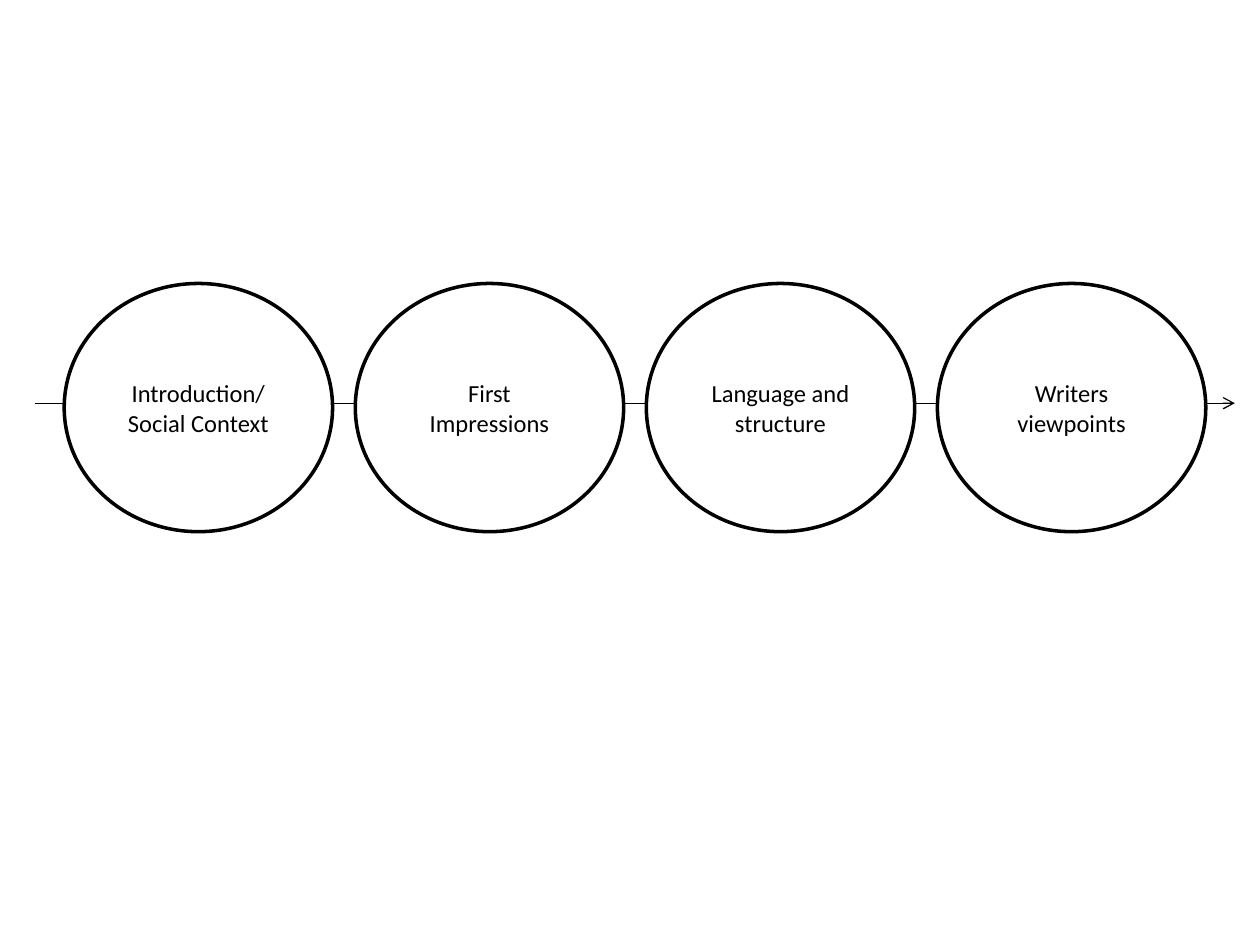
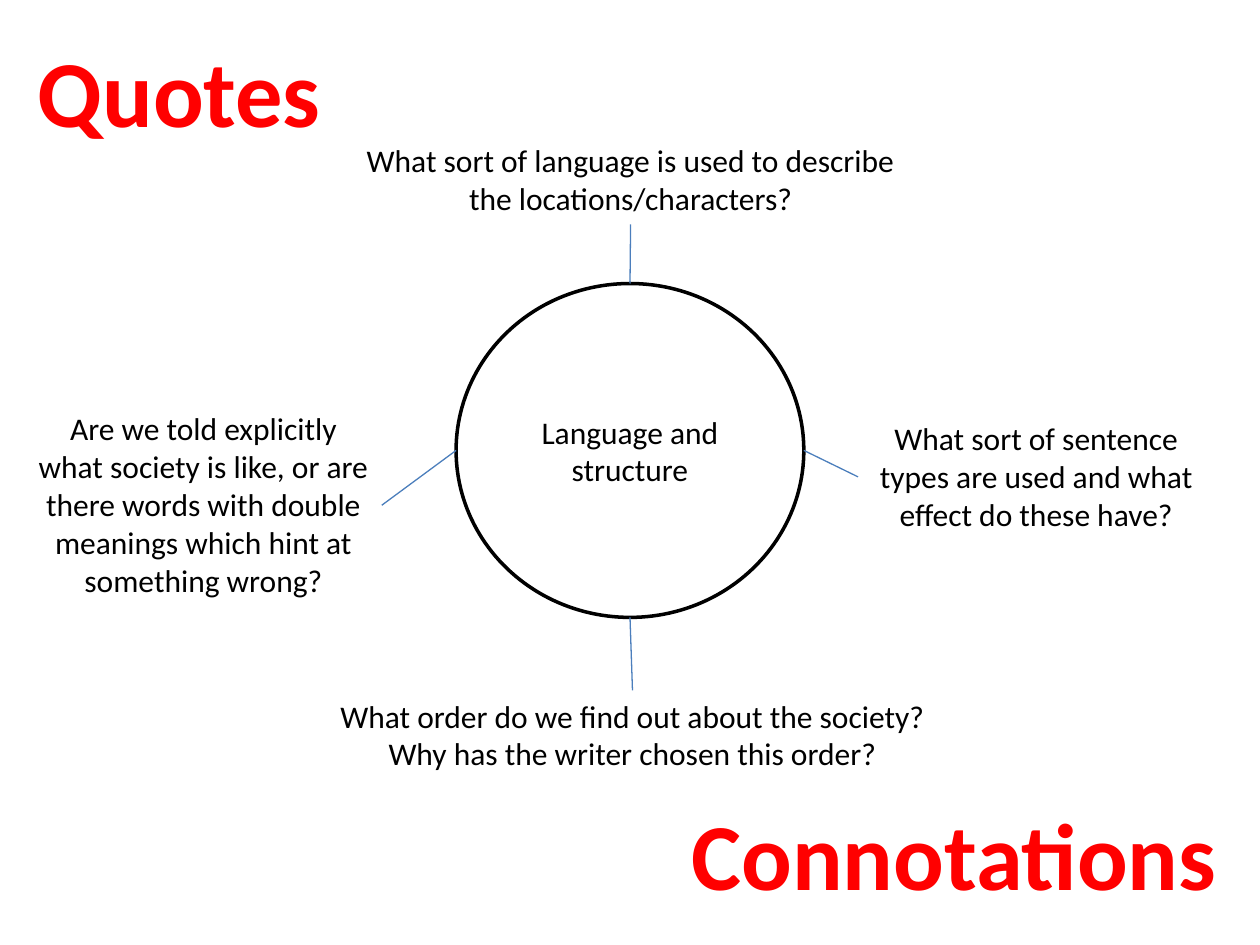
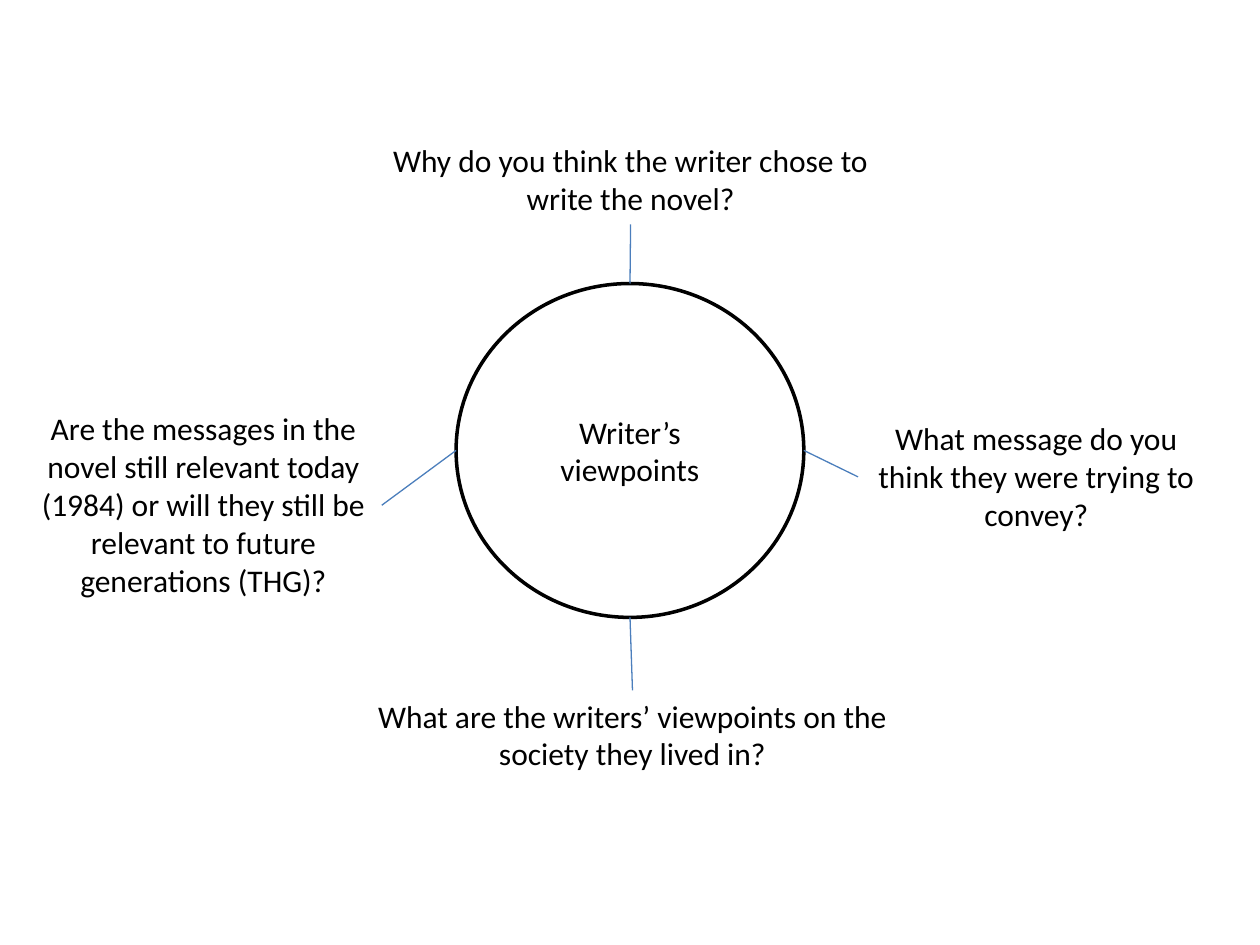
from dataclasses import dataclass

from lxml import etree
from pptx import Presentation
from pptx.dml.color import RGBColor
from pptx.enum.shapes import MSO_CONNECTOR, MSO_SHAPE
from pptx.enum.text import MSO_ANCHOR, MSO_AUTO_SIZE, PP_ALIGN
from pptx.oxml.ns import qn
from pptx.presentation import Presentation as Deck
from pptx.shapes.autoshape import Shape
from pptx.shapes.connector import Connector
from pptx.slide import Slide
from pptx.util import Inches, Pt

OVAL = MSO_SHAPE.OVAL
STRAIGHT = MSO_CONNECTOR.STRAIGHT
MIDDLE = MSO_ANCHOR.MIDDLE
GROW = MSO_AUTO_SIZE.SHAPE_TO_FIT_TEXT
CENTER = PP_ALIGN.CENTER
LEFT = PP_ALIGN.LEFT
TOP_SIDE, LEFT_SIDE, BOTTOM_SIDE, RIGHT_SIDE = range(4)

FONT = "Calibri"
COLORS = {
    "ink": "000000",
    "paper": "FFFFFF",
    "spoke": "4B7EBC",
    "heading": "FF0000",
}


@dataclass(frozen=True)
class Area:
    left: float
    top: float
    width: float
    height: float

    def side_middle(self, side: int) -> tuple[float, float]:
        center = self.left + self.width / 2
        middle = self.top + self.height / 2
        return {
            TOP_SIDE: (center, self.top),
            LEFT_SIDE: (self.left, middle),
            BOTTOM_SIDE: (center, self.top + self.height),
            RIGHT_SIDE: (self.left + self.width, middle),
        }[side]


@dataclass(frozen=True)
class Question:
    area: Area
    hub_side: int
    text: str


@dataclass(frozen=True)
class Heading:
    area: Area
    text: str


HUB = Area(3.62, 2.25, 2.76, 2.65)
ABOVE = Area(2.76, 1.07, 4.49, 0.71)
BESIDE_LEFT = Area(0.2, 3.2, 2.83, 1.62)
BELOW = Area(2.6, 5.48, 4.84, 0.71)
BELOW_TALL = Area(2.6, 5.48, 4.84, 1.01)
BESIDE_RIGHT = Area(6.81, 3.28, 2.83, 1.01)

STAGES = (
    "Introduction/ Social Context",
    "First Impressions",
    "Language and structure",
    "Writers viewpoints",
)
FIRST_STAGE = Area(0.51, 2.25, 2.13, 1.97)
STAGE_STEP = 2.31

LANGUAGE_QUESTIONS = (
    Question(ABOVE, TOP_SIDE, "What sort of language is used to describe the locations/characters?"),
    Question(
        BESIDE_LEFT,
        LEFT_SIDE,
        "Are we told explicitly what society is like, or are there words "
        "with double meanings which hint at something wrong?",
    ),
    Question(
        BELOW_TALL,
        BOTTOM_SIDE,
        "What order do we find out about the society? Why has the writer chosen this order?",
    ),
    Question(
        BESIDE_RIGHT,
        RIGHT_SIDE,
        "What sort of sentence types are used and what effect do these have?",
    ),
)
LANGUAGE_HEADINGS = (
    Heading(Area(0.2, 0.21, 2.47, 1.01), "Quotes"),
    Heading(Area(5.39, 6.27, 4.42, 1.01), "Connotations"),
)
VIEWPOINT_QUESTIONS = (
    Question(ABOVE, TOP_SIDE, "Why do you think the writer chose to write the novel?"),
    Question(
        BESIDE_LEFT,
        LEFT_SIDE,
        "Are the messages in the novel still relevant today (1984) "
        "or will they still be relevant to future generations (THG)?",
    ),
    Question(BELOW, BOTTOM_SIDE, "What are the writers’ viewpoints on the society they lived in?"),
    Question(BESIDE_RIGHT, RIGHT_SIDE, "What message do you think they were trying to convey?"),
)


def color(name: str) -> RGBColor:
    return RGBColor.from_string(COLORS[name])


def inches(area: Area) -> tuple[Inches, Inches, Inches, Inches]:
    return Inches(area.left), Inches(area.top), Inches(area.width), Inches(area.height)


def add_page(deck: Deck) -> Slide:
    return deck.slides.add_slide(deck.slide_layouts[6])


def write(
    box: Shape,
    text: str,
    size: float,
    tone: str = "ink",
    align: PP_ALIGN = CENTER,
    bold: bool = False,
) -> None:
    para = box.text_frame.paragraphs[0]
    para.alignment = align
    span = para.add_run()
    span.text = text
    span.font.name = FONT
    span.font.size = Pt(size)
    span.font.bold = bold
    span.font.color.rgb = color(tone)


def add_circle(page: Slide, area: Area, text: str, size: float) -> None:
    circle = page.shapes.add_shape(OVAL, *inches(area))
    circle.shadow.inherit = False
    circle.fill.solid()
    circle.fill.fore_color.rgb = color("paper")
    circle.line.color.rgb = color("ink")
    circle.line.width = Pt(2)
    circle.text_frame.word_wrap = True
    circle.text_frame.vertical_anchor = MIDDLE
    write(circle, text, size)


def add_text_box(page: Slide, area: Area, wrap: bool) -> Shape:
    box = page.shapes.add_textbox(*inches(area))
    box.text_frame.word_wrap = wrap
    box.text_frame.auto_size = GROW
    return box


def add_line(
    page: Slide, start: tuple[float, float], end: tuple[float, float], tone: str
) -> Connector:
    line = page.shapes.add_connector(STRAIGHT, *map(Inches, start + end))
    line.line.color.rgb = color(tone)
    line.line.width = Pt(0.75)
    etree.SubElement(line._element.spPr, qn("a:effectLst"))
    return line


def add_question(page: Slide, question: Question) -> None:
    box = add_text_box(page, question.area, wrap=True)
    write(box, question.text, 18)
    box_side = (question.hub_side + 2) % 4
    spoke = add_line(
        page,
        question.area.side_middle(box_side),
        HUB.side_middle(question.hub_side),
        "spoke",
    )
    spoke.begin_connect(box, box_side)


def add_heading(page: Slide, heading: Heading) -> None:
    box = add_text_box(page, heading.area, wrap=False)
    write(box, heading.text, 54, "heading", LEFT, bold=True)


def build_timeline(deck: Deck) -> None:
    page = add_page(deck)
    arrow = add_line(page, (0.28, 3.2), (9.8, 3.2), "ink")
    etree.SubElement(arrow.line._get_or_add_ln(), qn("a:tailEnd"), type="arrow")
    for index, stage in enumerate(STAGES):
        area = Area(
            FIRST_STAGE.left + index * STAGE_STEP,
            FIRST_STAGE.top,
            FIRST_STAGE.width,
            FIRST_STAGE.height,
        )
        add_circle(page, area, stage, 14)


def build_question_map(
    deck: Deck,
    topic: str,
    questions: tuple[Question, ...],
    headings: tuple[Heading, ...] = (),
) -> None:
    page = add_page(deck)
    add_circle(page, HUB, topic, 18)
    for question in questions:
        add_question(page, question)
    for heading in headings:
        add_heading(page, heading)


def main() -> None:
    deck = Presentation()
    deck.slide_width = Inches(10)
    deck.slide_height = Inches(7.5)
    build_timeline(deck)
    build_question_map(deck, "Language and structure", LANGUAGE_QUESTIONS, LANGUAGE_HEADINGS)
    build_question_map(deck, "Writer’s viewpoints", VIEWPOINT_QUESTIONS)
    deck.save("out.pptx")


if __name__ == "__main__":
    main()
